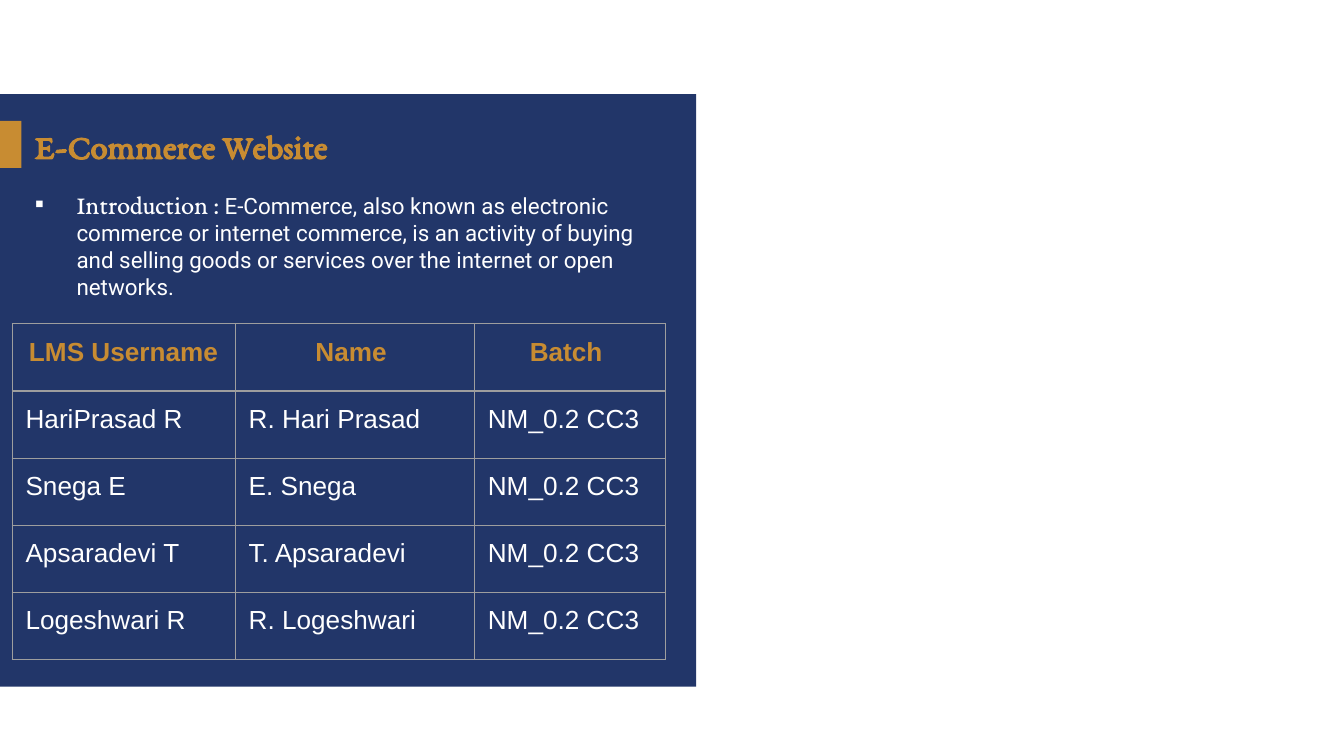
"""Build the E-Commerce Website project slide with its team table."""
from lxml import etree
from pptx import Presentation, util as u
from pptx.dml.color import RGBColor
from pptx.enum import shapes, text
from pptx.oxml import ns

NAVY, GOLD, WHITE, GREY = "223669", "C88C32", "FFFFFF", "9E9E9E"
COLUMNS = [1.66, 1.78, 1.42]
ROW_HEIGHT = 0.5
BATCH = "NM_0.2 CC3"
HEADINGS = ["LMS Username", "Name ", "Batch "]
MEMBERS = [
    ("HariPrasad R", "R. Hari Prasad"),
    ("Snega E", "E. Snega"),
    ("Apsaradevi T", "T. Apsaradevi"),
    ("Logeshwari R", "R. Logeshwari"),
]


def color(value):
    """Return the colour of a hex string."""
    return RGBColor.from_string(value)


def add_xml(parent, tag, **attributes):
    """Append a DrawingML element to a parent and return it."""
    return etree.SubElement(parent, ns.qn(tag), attributes)


def style_span(span, face, size, shade, bold=False):
    """Set the font of one run."""
    span.font.name = face
    span.font.size = u.Pt(size)
    span.font.bold = bold
    span.font.color.rgb = color(shade)


def add_block(page, left, top, width, height, shade):
    """Add a plain filled rectangle."""
    block = page.shapes.add_shape(
        shapes.MSO_SHAPE.RECTANGLE,
        u.Inches(left), u.Inches(top), u.Inches(width), u.Inches(height))
    block.shadow.inherit = False
    block.fill.solid()
    block.fill.fore_color.rgb = color(shade)
    block.line.fill.background()


def place_placeholder(box, left, top, width, height, anchor):
    """Move a placeholder to the front and prepare its text frame."""
    box.left, box.top = u.Inches(left), u.Inches(top)
    box.width, box.height = u.Inches(width), u.Inches(height)
    box.element.getparent().append(box.element)
    frame = box.text_frame
    frame.word_wrap = True
    frame.auto_size = text.MSO_AUTO_SIZE.NONE
    frame.vertical_anchor = anchor
    return frame


def fill_title(box):
    """Write the slide title."""
    frame = place_placeholder(box, 0.16, 0.89, 3.74, 0.38, text.MSO_ANCHOR.MIDDLE)
    frame.text = "E-Commerce Website"
    para = frame.paragraphs[0]
    para.alignment = text.PP_ALIGN.LEFT
    style_span(para.runs[0], "EB Garamond", 18.3, GOLD, bold=True)


def fill_introduction(box):
    """Write the bulleted introduction."""
    frame = place_placeholder(box, 0.16, 1.35, 4.95, 3.31, text.MSO_ANCHOR.TOP)
    para = frame.paragraphs[0]
    properties = para._p.get_or_add_pPr()
    indent = u.Inches(0.31)
    properties.set("marL", str(indent))
    properties.set("indent", str(-indent))
    add_xml(add_xml(properties, "a:buClr"), "a:srgbClr", val=WHITE)
    add_xml(properties, "a:buFont", typeface="Arial")
    add_xml(properties, "a:buChar", char="▪")
    para.space_before = u.Pt(0)
    for words, face, size in [
        ("Introduction : ", "EB Garamond", 14),
        ("E-Commerce, also known as electronic commerce or internet commerce, "
         "is an activity of buying and selling goods or services over the "
         "internet or open networks.", "Roboto", 12),
    ]:
        span = para.add_run()
        span.text = words
        style_span(span, face, size, WHITE)


def fill_cell(cell, words, heading):
    """Write one table cell with thin borders and no fill."""
    cell.margin_left = cell.margin_right = u.Inches(0.1)
    cell.margin_top = cell.margin_bottom = u.Inches(0.1)
    properties = cell._tc.get_or_add_tcPr()
    for side in ("a:lnL", "a:lnR", "a:lnT", "a:lnB"):
        border = add_xml(properties, side, w=str(u.Pt(0.75)))
        add_xml(add_xml(border, "a:solidFill"), "a:srgbClr", val=GREY)
    cell.fill.background()
    cell.text_frame.text = words
    para = cell.text_frame.paragraphs[0]
    para.alignment = text.PP_ALIGN.CENTER if heading else text.PP_ALIGN.LEFT
    style_span(para.runs[0], "Arial", 14, GOLD if heading else WHITE, heading)


def add_team_table(page):
    """Add the table of team members."""
    rows = [HEADINGS] + [(*member, BATCH) for member in MEMBERS]
    table = page.shapes.add_table(
        len(rows), len(COLUMNS), u.Inches(0.09), u.Inches(2.41),
        u.Inches(sum(COLUMNS)), u.Inches(ROW_HEIGHT * len(rows))).table
    table.first_row = table.horz_banding = False
    for column, width in zip(table.columns, COLUMNS):
        column.width = u.Inches(width)
    for row, values in enumerate(rows):
        for column, words in enumerate(values):
            fill_cell(table.cell(row, column), words, heading=row == 0)


def main():
    """Build and save the deck."""
    deck = Presentation()
    deck.slide_width, deck.slide_height = u.Inches(10), u.Inches(10 * 9 / 16)
    page = deck.slides.add_slide(deck.slide_layouts[1])
    add_block(page, 0, 0.7, 5.18, 4.41, NAVY)
    add_block(page, 0, 0.9, 0.16, 0.35, GOLD)
    fill_title(page.shapes.title)
    fill_introduction(page.placeholders[1])
    add_team_table(page)
    deck.save("out.pptx")


if __name__ == "__main__":
    main()
